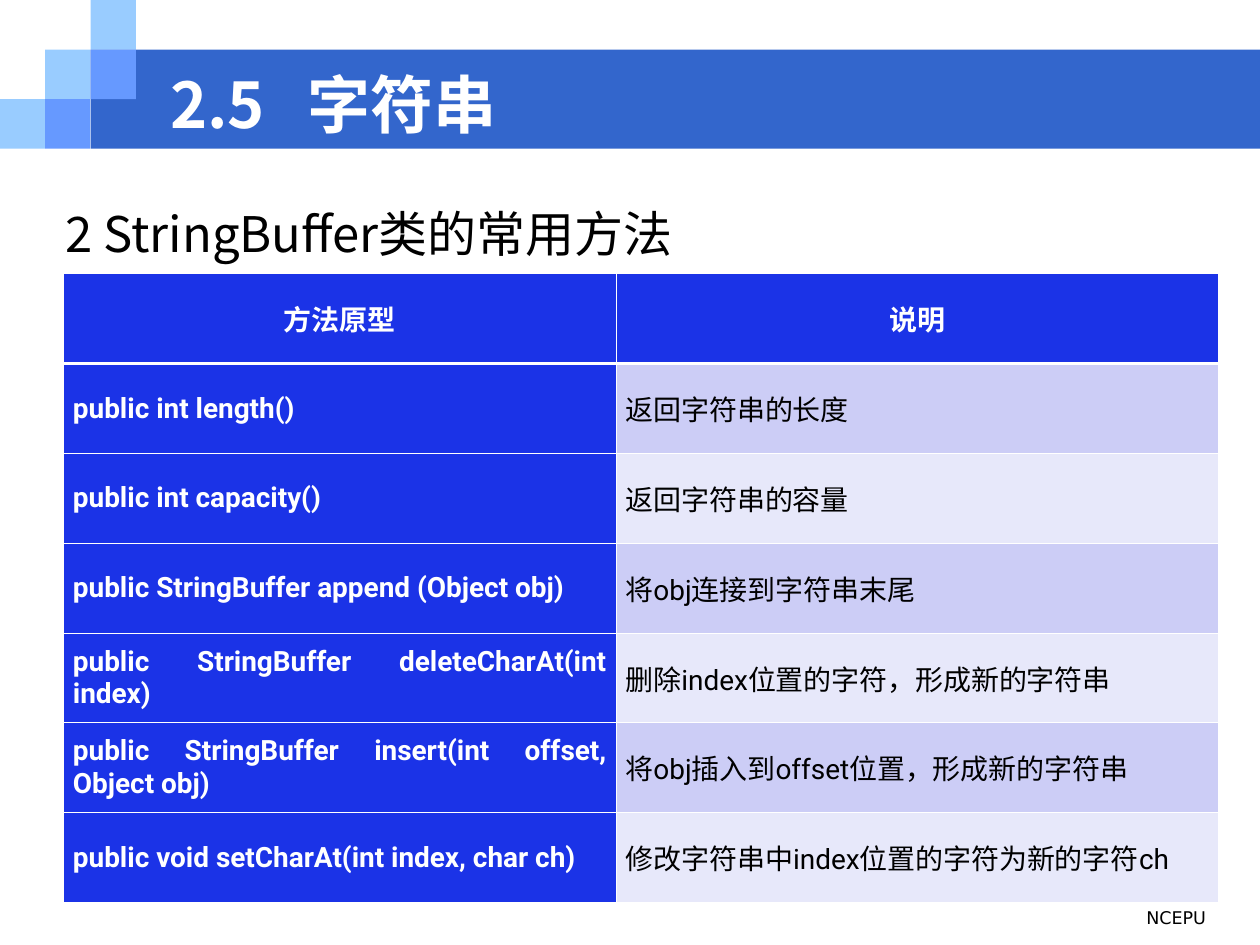
"""Build the slide on common StringBuffer methods."""
from lxml import etree
from pptx import Presentation
from pptx.dml.color import RGBColor
from pptx.enum import shapes, text
from pptx.oxml.ns import qn
from pptx.util import Cm, Pt

BAND_BLUE = RGBColor(0x33, 0x66, 0xCC)
LIGHT_BLUE = RGBColor(0x99, 0xCC, 0xFF)
MID_BLUE = RGBColor(0x66, 0x99, 0xFF)
TABLE_BLUE = RGBColor(0x1B, 0x33, 0xE7)
ROW_DARK = RGBColor(0xCC, 0xCD, 0xF6)
ROW_LIGHT = RGBColor(0xE7, 0xE8, 0xFA)
WHITE = RGBColor(0xFF, 0xFF, 0xFF)
BLACK = RGBColor(0, 0, 0)
CJK = "Noto Sans CJK SC"


def style(paragraph, size, color, name, bold=False):
    font = paragraph.font
    font.size, font.name, font.bold = Pt(size), name, bold
    font.color.rgb = color
    latin = paragraph._p.pPr.find(qn("a:defRPr")).find(qn("a:latin"))
    east_asian = etree.Element(qn("a:ea"), typeface=CJK)
    latin.addnext(east_asian)


def add_text(words, left, top, width, height):
    frame = slide.shapes.add_textbox(Cm(left), Cm(top), Cm(width), Cm(height)).text_frame
    frame.word_wrap = True
    frame.paragraphs[0].text = words
    return frame


prs = Presentation()
prs.slide_width, prs.slide_height = Cm(25.4), Cm(19.05)
slide = prs.slides.add_slide(prs.slide_layouts[6])

blocks = [
    (1.83, 1, 23.57, 2, BAND_BLUE),
    (0, 2, 0.91, 1, LIGHT_BLUE),
    (0.91, 1, 0.91, 1, LIGHT_BLUE),
    (1.83, 0, 0.91, 1, LIGHT_BLUE),
    (1.83, 1, 0.91, 1, MID_BLUE),
    (0.91, 2, 0.91, 1, MID_BLUE),
]
for left, step, width, steps, color in blocks:
    block = slide.shapes.add_shape(
        shapes.MSO_SHAPE.RECTANGLE, Cm(left), Cm(step), Cm(width), Cm(steps))
    block.shadow.inherit = False
    block.fill.solid()
    block.fill.fore_color.rgb = color
    block.line.fill.background()

footer = add_text("NCEPU", 16.51, 18.16, 8.05, 0.89).paragraphs[0]
footer.alignment = text.PP_ALIGN.RIGHT
style(footer, 10, BLACK, "DejaVu Sans")

title = add_text("2.5\t字符串", 3.18, 1.4, 20.52, 1.35)
title.vertical_anchor = text.MSO_ANCHOR.MIDDLE
title_tabs = etree.SubElement(title.paragraphs[0]._p.get_or_add_pPr(), qn("a:tabLst"))
etree.SubElement(title_tabs, qn("a:tab"), pos=str(Cm(2.77)), algn="l")
style(title.paragraphs[0], 36, WHITE, CJK, True)

heading = add_text("2 StringBuffer类的常用方法", 1.07, 3.38, 24.33, 1.9).paragraphs[0]
heading.line_spacing = 1.5
style(heading, 28, BLACK, CJK)

methods = [
    ("方法原型", "说明"),
    ("public int length()", "返回字符串的长度"),
    ("public int capacity()", "返回字符串的容量"),
    ("public StringBuffer append (Object obj)", "将obj连接到字符串末尾"),
    ("public StringBuffer deleteCharAt(int index)", "删除index位置的字符，形成新的字符串"),
    ("public StringBuffer insert(int offset, Object obj)", "将obj插入到offset位置，形成新的字符串"),
    ("public void setCharAt(int index, char ch)", "修改字符串中index位置的字符为新的字符ch"),
]
table = slide.shapes.add_table(
    len(methods), 2, Cm(1.28), Cm(5.52), Cm(23.28), Cm(12.7)).table
table.first_row = table.horz_banding = False
table.columns[0].width, table.columns[1].width = Cm(11.14), Cm(12.14)

for r, row in enumerate(methods):
    table.rows[r].height = Cm(1.81)
    for c, words in enumerate(row):
        cell = table.cell(r, c)
        strong = r == 0 or c == 0
        cell.fill.solid()
        cell.fill.fore_color.rgb = TABLE_BLUE if strong else ROW_DARK if r % 2 else ROW_LIGHT
        cell.vertical_anchor = text.MSO_ANCHOR.MIDDLE
        cell.margin_left = cell.margin_right = Cm(0.19)
        cell.margin_top = cell.margin_bottom = Cm(0.12)
        entry = cell.text_frame.paragraphs[0]
        entry.text = words
        entry.alignment = text.PP_ALIGN.JUSTIFY if r else text.PP_ALIGN.CENTER
        style(entry, 16, WHITE if strong else BLACK, "Roboto", strong)
        for i, side in enumerate(("lnL", "lnR", "lnT", "lnB")):
            thick = (r, side) in ((0, "lnB"), (1, "lnT"))
            border = etree.Element(qn(f"a:{side}"), w=str(Pt(1.47 if thick else 0.45)))
            paint = etree.SubElement(border, qn("a:solidFill"))
            etree.SubElement(paint, qn("a:srgbClr"), val=str(WHITE))
            cell._tc.tcPr.insert(i, border)

prs.save("out.pptx")
